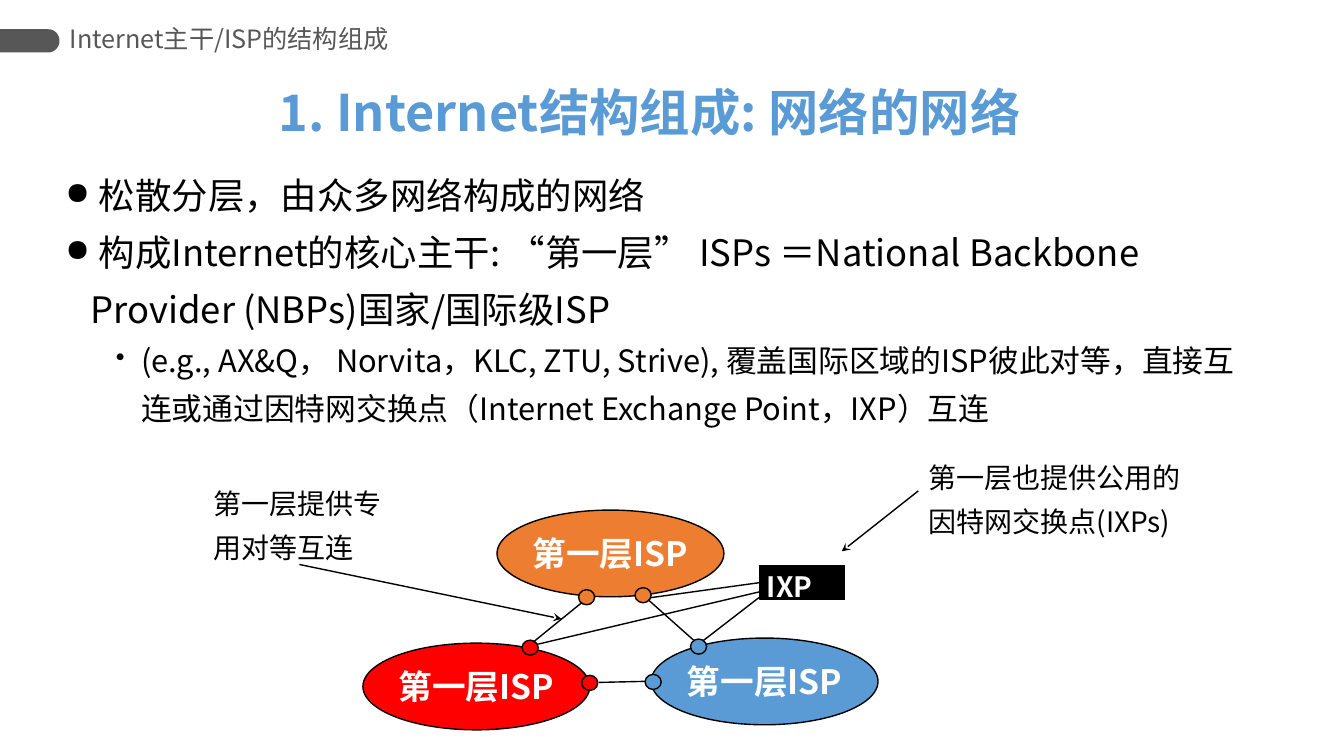
"""Build the slide on the internet backbone as a network of networks."""
import math
from dataclasses import dataclass

import pptx
import pptx.dml.color
import pptx.enum.shapes
import pptx.enum.text
import pptx.oxml.ns
import pptx.util
from lxml import etree

SHAPE = pptx.enum.shapes.MSO_SHAPE
ALIGN = pptx.enum.text.PP_ALIGN
ANCHOR = pptx.enum.text.MSO_ANCHOR
qn = pptx.oxml.ns.qn


@dataclass(frozen=True)
class Theme:
    font: str = "Noto Sans CJK SC"
    black: str = "000000"
    white: str = "FFFFFF"
    gray: str = "575757"
    red: str = "FF0000"
    orange: str = "ED7D31"
    blue: str = "5B9BD5"
    title: int = 36
    body: int = 26
    detail: int = 22
    label: int = 24
    note: int = 20
    header: int = 18


@dataclass(frozen=True)
class Area:
    """A rectangle in percent of the slide's width and height."""
    left: float
    top: float
    width: float
    height: float


@dataclass(frozen=True)
class Style:
    size: int
    color: str
    bold: bool = False
    spacing: float = 1.0
    align: ALIGN = ALIGN.LEFT


@dataclass(frozen=True)
class Bullet:
    text: str
    size: int
    mark: str
    margin: float
    level: int = 0


@dataclass(frozen=True)
class Provider:
    color: str
    left: float
    top: float
    ports: tuple[tuple[float, float], ...]


@dataclass(frozen=True)
class Link:
    start: tuple[float, float]
    end: tuple[float, float]
    arrow: bool = False
    from_exchange: bool = False


THEME = Theme()
WIDTH = pptx.util.Inches(13.33)
HEIGHT = pptx.util.Inches(7.5)
NOTE = Style(THEME.note, THEME.black, spacing=1.3)
LABEL = Style(THEME.label, THEME.white, True, align=ALIGN.CENTER)

BULLETS = (
    Bullet(" 松散分层，由众多网络构成的网络", THEME.body, "●", 0.25),
    Bullet(" 构成Internet的核心主干: “第一层” ISPs ＝National Backbone Provider (NBPs)国家/国际级ISP",
           THEME.body, "●", 0.25),
    Bullet("(e.g., AX&Q， Norvita，KLC, ZTU, Strive), 覆盖国际区域的ISP彼此对等，"
           "直接互连或通过因特网交换点（Internet Exchange Point，IXP）互连", THEME.detail, "•", 0.75, 1),
)
PROVIDERS = (
    Provider(THEME.red, 27, 85.07, ((38.85, 84.67), (43.28, 89.33))),
    Provider(THEME.orange, 36.98, 67.47, ((47.25, 77.73), (43.05, 78))),
    Provider(THEME.blue, 48.45, 84.4, ((51.38, 84.53), (48, 89.2))),
)
LINKS = (
    Link((44.55, 90.27), (48, 90.13)),
    Link((48.23, 79.33), (51.6, 84.67)),
    Link((39.68, 84.93), (43.28, 79.73)),
    Link((22.28, 74.67), (41.78, 81.87), arrow=True),
    Link((56.85, 78.53), (52.28, 84.8)),
    Link((56.55, 77.07), (48.38, 79.07), from_exchange=True),
    Link((56.55, 78.27), (40.05, 85.2)),
    Link((68.33, 64.93), (62.63, 72.93), arrow=True),
)
NOTES = (
    ("第一层提供专用对等互连", Area(15.15, 62.4, 14.4, 13.07)),
    ("第一层也提供公用的因特网交换点(IXPs)", Area(68.33, 58.93, 22.13, 13.07)),
)


def across(share: float) -> int:
    """Turn a percentage of the slide's width into a length."""
    return round(WIDTH * share / 100)


def down(share: float) -> int:
    """Turn a percentage of the slide's height into a length."""
    return round(HEIGHT * share / 100)


def bounds(area: Area) -> tuple[int, int, int, int]:
    """Return an area's left, top, width and height as lengths."""
    return across(area.left), down(area.top), across(area.width), down(area.height)


def rgb(color: str) -> pptx.dml.color.RGBColor:
    """Return a colour from its hexadecimal digits."""
    return pptx.dml.color.RGBColor.from_string(color)


def format_paragraph(para, style: Style) -> None:
    """Apply a text style to a paragraph."""
    para.alignment, para.line_spacing = style.align, style.spacing
    font = para.font
    font.size, font.bold = pptx.util.Pt(style.size), style.bold
    font.color.rgb = rgb(style.color)
    font.name = THEME.font
    defaults = para._p.pPr.find(qn("a:defRPr"))
    etree.SubElement(defaults, qn("a:ea"), typeface=THEME.font)


def write(shape, text: str, style: Style, wrap: bool = True, anchor=ANCHOR.TOP) -> None:
    """Put one styled paragraph into a shape."""
    frame = shape.text_frame
    frame.word_wrap, frame.vertical_anchor = wrap, anchor
    frame.text = text
    format_paragraph(frame.paragraphs[0], style)


def add_figure(page, kind: SHAPE, area: Area, color: str):
    """Draw a filled preset shape with a thin black outline."""
    figure = page.shapes.add_shape(kind, *bounds(area))
    figure.shadow.inherit = False
    figure.fill.solid()
    figure.fill.fore_color.rgb = rgb(color)
    figure.line.color.rgb = rgb(THEME.black)
    figure.line.width = pptx.util.Pt(1)
    return figure


def add_link(page, link: Link, exchange) -> None:
    """Draw a straight link, with an arrowhead where asked."""
    line = page.shapes.add_connector(
        pptx.enum.shapes.MSO_CONNECTOR.STRAIGHT,
        across(link.start[0]), down(link.start[1]), across(link.end[0]), down(link.end[1]))
    if link.from_exchange:
        line.begin_connect(exchange, 1)
    line.line.color.rgb = rgb(THEME.black)
    line.line.width = pptx.util.Pt(1)
    if link.arrow:
        etree.SubElement(line.line._get_or_add_ln(), qn("a:tailEnd"), type="stealth")
    etree.SubElement(line._element.spPr, qn("a:effectLst"))


def add_header(page) -> None:
    """Draw the round-ended bar and the section name."""
    bar = Area(0, 3.87, 4.43, 3.07)
    radius_x, radius_y = 0.83, bar.height / 2
    angles = [math.radians(step) for step in range(-90, 91, 10)]
    curve = [(across(bar.width - radius_x + radius_x * math.cos(angle)),
              down(bar.top + radius_y + radius_y * math.sin(angle))) for angle in angles]
    builder = page.shapes.build_freeform(0, down(bar.top))
    builder.add_line_segments(curve + [(0, down(bar.top + bar.height))], close=True)
    shape = builder.convert_to_shape()
    shape.shadow.inherit = False
    shape.fill.solid()
    shape.fill.fore_color.rgb = rgb(THEME.gray)
    shape.line.fill.background()
    box = page.shapes.add_textbox(*bounds(Area(5.18, 3.2, 26.85, 3.87)))
    box.text_frame.margin_left = box.text_frame.margin_right = 0
    write(box, "Internet主干/ISP的结构组成", Style(THEME.header, THEME.gray), anchor=ANCHOR.MIDDLE)


def add_bullets(page) -> None:
    """Write the bulleted statements."""
    frame = page.shapes.add_textbox(*bounds(Area(4.13, 20.53, 88.95, 40.13))).text_frame
    frame.word_wrap = True
    for index, bullet in enumerate(BULLETS):
        para = frame.add_paragraph() if index else frame.paragraphs[0]
        para.text, para.level = bullet.text, bullet.level
        properties = para._p.get_or_add_pPr()
        properties.set("marL", str(pptx.util.Inches(bullet.margin)))
        properties.set("indent", str(pptx.util.Inches(-0.25)))
        etree.SubElement(properties, qn("a:buSzPct"), val="85000")
        etree.SubElement(properties, qn("a:buChar"), char=bullet.mark)
        format_paragraph(para, Style(bullet.size, THEME.black, spacing=1.3))


def add_diagram(page) -> None:
    """Draw the providers, their ports, the exchange and the links."""
    for provider in PROVIDERS:
        area = Area(provider.left, provider.top, 16.88, 11.47)
        cloud = add_figure(page, SHAPE.OVAL, area, provider.color)
        write(cloud, "第一层ISP", LABEL, wrap=False, anchor=ANCHOR.MIDDLE)
    for provider in PROVIDERS:
        for left, top in provider.ports:
            add_figure(page, SHAPE.OVAL, Area(left, top, 1.2, 2), provider.color)
    exchange = add_figure(page, SHAPE.RECTANGLE, Area(56.55, 74.8, 6.3, 4.53), THEME.black)
    name = page.shapes.add_textbox(*bounds(Area(56.33, 74.67, 5.78, 5.87)))
    write(name, "IXP", Style(THEME.note, THEME.white, True))
    for link in LINKS:
        add_link(page, link, exchange)
    for text, area in NOTES:
        write(page.shapes.add_textbox(*bounds(area)), text, NOTE)


def main() -> None:
    """Assemble and save the deck."""
    deck = pptx.Presentation()
    deck.slide_width, deck.slide_height = WIDTH, HEIGHT
    page = deck.slides.add_slide(deck.slide_layouts[5])
    title = page.shapes.title
    title.left, title.top, title.width, title.height = bounds(Area(15.15, 10.93, 66.38, 8.67))
    write(title, "1. Internet结构组成: 网络的网络",
          Style(THEME.title, THEME.blue, True, 0.9, ALIGN.CENTER), anchor=ANCHOR.MIDDLE)
    add_header(page)
    add_bullets(page)
    add_diagram(page)
    deck.save("out.pptx")


if __name__ == "__main__":
    main()
